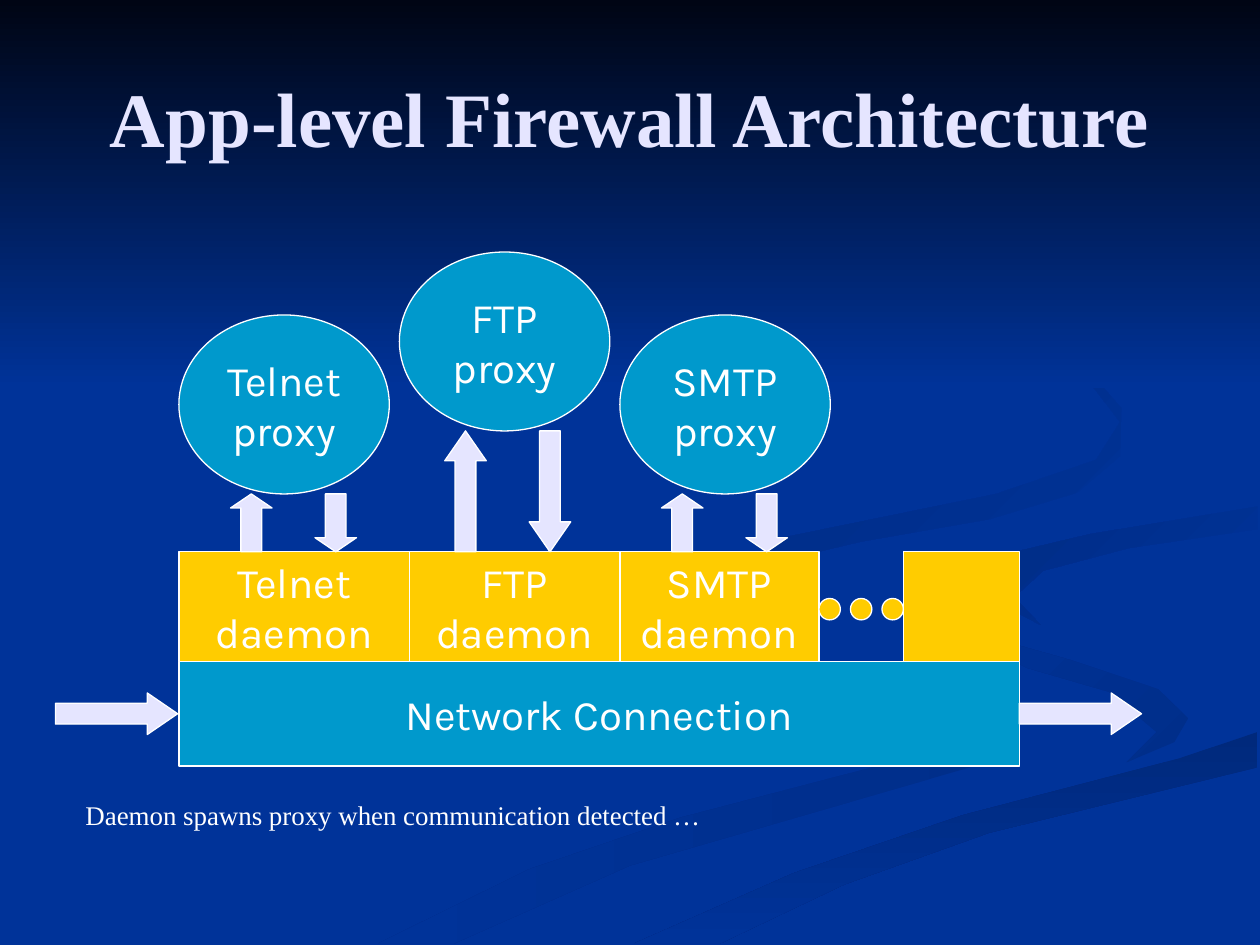
from dataclasses import dataclass

from pptx import Presentation
from pptx.dml.color import RGBColor
from pptx.enum.shapes import MSO_SHAPE
from pptx.enum.text import MSO_ANCHOR, PP_ALIGN
from pptx.util import Inches, Pt

RECT, OVAL = MSO_SHAPE.RECTANGLE, MSO_SHAPE.OVAL
UP, DOWN, RIGHT = MSO_SHAPE.UP_ARROW, MSO_SHAPE.DOWN_ARROW, MSO_SHAPE.RIGHT_ARROW
MIDDLE, TOP = MSO_ANCHOR.MIDDLE, MSO_ANCHOR.TOP
CENTER, LEFT = PP_ALIGN.CENTER, PP_ALIGN.LEFT

NAVY, NIGHT, BLUE, GOLD = "003399", "000514", "0099CC", "FFCC00"
LAVENDER, WHITE = "E5E5FF", "FFFFFF"
SERIF, SANS = "Times New Roman", "Karla"

DAEMON_TOP, DAEMON_H = 4.38, 0.87
NET_LEFT, NET_W = 1.42, 6.67
PROXY_W, PROXY_H, PROXY_STEP = 1.67, 1.42, 1.75
ARROW_W, ARROW_STEP = 0.33, 0.67
DOT, DOT_STEP = 0.17, 0.25


@dataclass
class Service:
    """A protocol with its daemon width, proxy top, first arrow and head."""
    name: str
    width: float
    proxy_top: float
    arrow_left: float
    head: float


@dataclass
class Swoosh:
    """A closed background outline with its two gradient colours."""
    start: str
    end: str
    angle: int
    points: list[tuple[float, float]]


SERVICES = [
    Service("Telnet", 1.83, 2.5, 1.83, 0.34),
    Service("FTP", 1.67, 2, 3.53, 0.72),
    Service("SMTP", 1.58, 2.5, 5.25, 0.34),
]

SWOOSHES = [
    Swoosh("002E8A", NAVY, 180, [
        (7.8, 5.53), (7.86, 5.7), (7.5, 5.94), (5.4, 6.49), (4.2, 6.9),
        (3, 7.49), (3.6, 7.49), (5, 6.87), (7.7, 6.09), (8, 5.81)]),
    Swoosh("00297C", NAVY, 90, [
        (5.03, 7.49), (5.71, 7.49), (6.7, 7.02), (7.85, 6.61), (9.98, 6.09),
        (9.98, 5.81), (9.36, 6.02), (7.64, 6.47), (6.3, 6.93)]),
    Swoosh("002E8A", NAVY, 225, [
        (7.24, 4.64), (7.45, 4.95), (8.15, 5.3), (8.8, 5.49), (9.18, 5.81),
        (8.94, 6.05), (9.32, 5.89), (9.43, 5.7), (9.19, 5.47), (8.5, 5.24),
        (7.58, 4.98)]),
    Swoosh(NAVY, "002C85", 225, [
        (7.81, 4.6), (7.91, 4.78), (8.26, 4.96), (8.05, 4.74), (8.28, 4.53),
        (8.96, 4.35), (9.98, 4.2), (9.98, 4.02), (8.65, 4.24), (8.1, 4.37)]),
    Swoosh(NAVY, "002B81", 225, [
        (6.83, 4.3), (7.86, 4.12), (8.55, 3.91), (8.89, 3.62), (8.9, 3.24),
        (8.54, 2.83), (7.62, 2.33), (8.46, 2.79), (8.89, 3.35), (8.7, 3.65),
        (7.91, 3.92), (6.25, 4.26), (5.77, 4.62), (6.22, 5), (5.93, 4.7),
        (6.24, 4.44)]),
    Swoosh(NIGHT, NAVY, 90, [(0, 0), (0, 3.08), (10, 3.08), (10, 0)]),
]


def rgb(value: str) -> RGBColor:
    """Return the colour of a hex string."""
    return RGBColor.from_string(value)


def add_swoosh(s, swoosh: Swoosh) -> None:
    """Draw one gradient outline without a line."""
    points = [(Inches(x), Inches(y)) for x, y in swoosh.points]
    builder = s.shapes.build_freeform(*points[0])
    builder.add_line_segments(points[1:], close=True)
    sp = builder.convert_to_shape()
    sp.shadow.inherit = False
    sp.line.fill.background()
    sp.fill.gradient()
    sp.fill.gradient_angle = 360 - swoosh.angle
    for stop, color in zip(sp.fill.gradient_stops, (swoosh.start, swoosh.end)):
        stop.color.rgb = rgb(color)


def write(sp, text: str, size: float, font: str, color: str = WHITE,
          align=CENTER, anchor=MIDDLE, before: float = 0,
          bold: bool = False, wrap: bool = True) -> None:
    """Put one formatted paragraph into a shape."""
    tf = sp.text_frame
    tf.word_wrap = wrap
    tf.vertical_anchor = anchor
    p = tf.paragraphs[0]
    p.alignment = align
    p.space_before = Pt(before)
    r = p.add_run()
    r.text = text
    r.font.size = Pt(size)
    r.font.name = font
    r.font.bold = bold
    r.font.color.rgb = rgb(color)


def add_box(s, kind, x: float, y: float, w: float, h: float, fill: str,
            text: str = "", wrap: bool = True):
    """Draw a filled shape with a thin white line and an optional label."""
    sp = s.shapes.add_shape(kind, Inches(x), Inches(y), Inches(w), Inches(h))
    sp.shadow.inherit = False
    sp.fill.solid()
    sp.fill.fore_color.rgb = rgb(fill)
    sp.line.color.rgb = rgb(WHITE)
    sp.line.width = Pt(0.75)
    if text:
        write(sp, text, 24, SANS, before=15, wrap=wrap)
    return sp


def add_arrow(s, kind, x: float, y: float, w: float, h: float, head: float) -> None:
    """Draw a block arrow with the given head length."""
    sp = add_box(s, kind, x, y, w, h, LAVENDER)
    sp.adjustments[0] = 0.5
    sp.adjustments[1] = head


def add_service(s, service: Service, left: float, proxy_left: float) -> None:
    """Draw a daemon, its proxy and the arrows between them."""
    add_box(s, RECT, left, DAEMON_TOP, service.width, DAEMON_H, GOLD,
            f"{service.name} daemon")
    add_box(s, OVAL, proxy_left, service.proxy_top, PROXY_W, PROXY_H, BLUE,
            f"{service.name} proxy")
    top = service.proxy_top + PROXY_H
    for i, kind in enumerate((UP, DOWN)):
        add_arrow(s, kind, service.arrow_left + i * ARROW_STEP, top, ARROW_W,
                  DAEMON_TOP - top, service.head)


def main() -> None:
    """Build and save the slide."""
    prs = Presentation()
    prs.slide_width, prs.slide_height = Inches(10), Inches(7.5)
    s = prs.slides.add_slide(prs.slide_layouts[6])
    s.background.fill.solid()
    s.background.fill.fore_color.rgb = rgb(NAVY)
    for swoosh in SWOOSHES:
        add_swoosh(s, swoosh)

    title = s.shapes.add_textbox(Inches(0.5), Inches(0.3), Inches(9), Inches(1.25))
    write(title, "App-level Firewall Architecture", 44, SERIF, LAVENDER, bold=True)
    note = s.shapes.add_textbox(Inches(0.58), Inches(6.29), Inches(8.58), Inches(0.37))
    write(note, "Daemon spawns proxy when communication detected …", 15.4, SERIF,
          align=LEFT, anchor=TOP, before=7)

    add_box(s, RECT, NET_LEFT, DAEMON_TOP + DAEMON_H, NET_W, 0.83, BLUE,
            "Network Connection", wrap=False)
    for x in (0.44, NET_LEFT + NET_W):
        add_arrow(s, RIGHT, x, 5.5, 0.97, ARROW_W, 0.73)
    left = NET_LEFT
    for i, service in enumerate(SERVICES):
        add_service(s, service, left, NET_LEFT + i * PROXY_STEP)
        left += service.width
    add_box(s, RECT, 7.17, DAEMON_TOP, 0.92, DAEMON_H, GOLD)
    for i in range(3):
        add_box(s, OVAL, left + i * DOT_STEP, 4.75, DOT, DOT, GOLD)
    prs.save("out.pptx")


if __name__ == "__main__":
    main()
